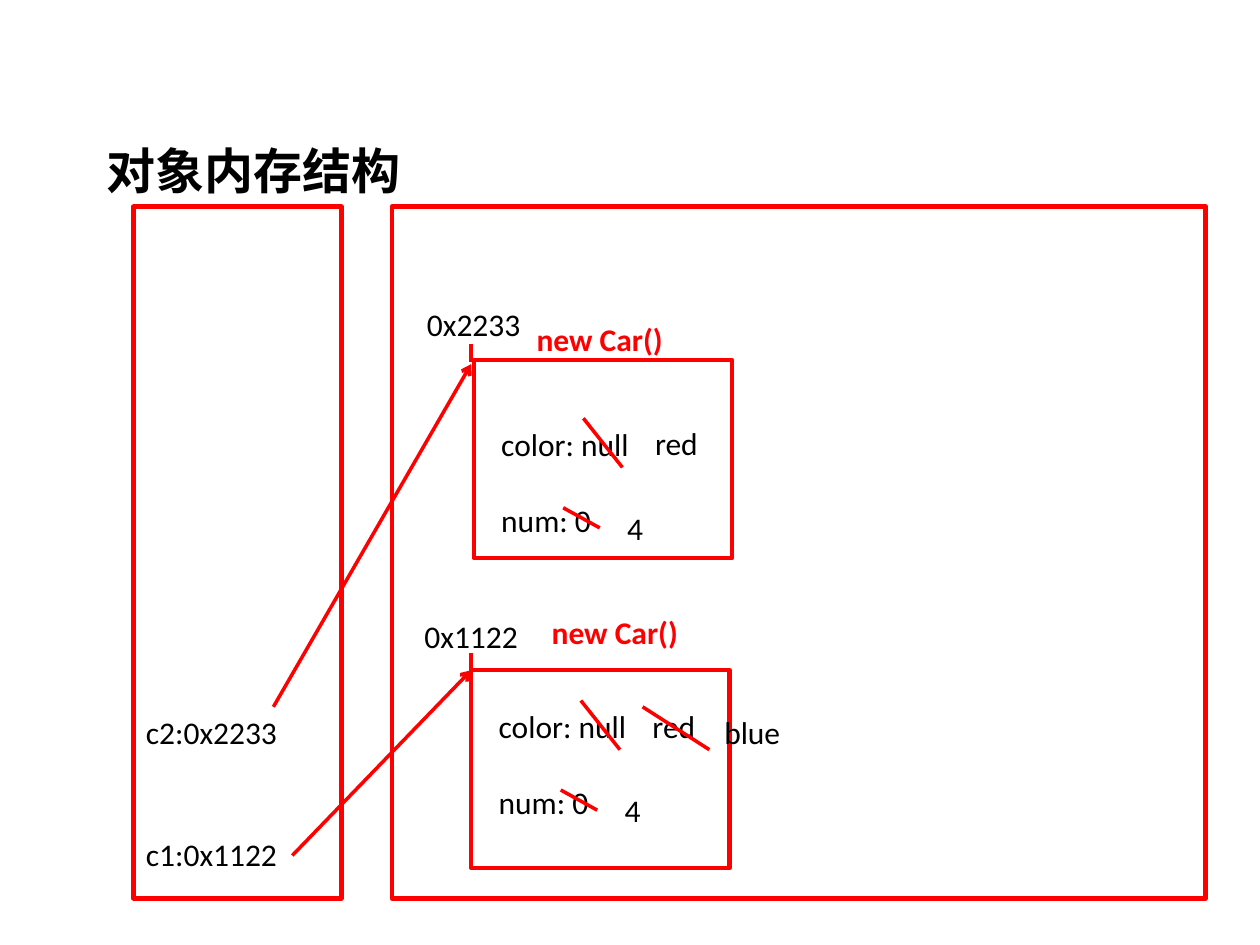
"""Build the slide on how objects are laid out in memory."""
from lxml.etree import SubElement
from pptx import Presentation
from pptx.dml.color import RGBColor
from pptx.enum.shapes import MSO_CONNECTOR as CONN, MSO_SHAPE as SHAPE
from pptx.oxml.ns import qn
from pptx.util import Inches, Pt

RED = RGBColor(0xFF, 0x00, 0x00)
BLACK = RGBColor(0x00, 0x00, 0x00)

TITLE = "对象内存结构"
MEMORY = [(1.06, 1.64, 1.65, 5.49), (3.11, 1.64, 6.46, 5.49)]
VARIABLES = [("c1:0x1122", 6.58), ("c2:0x2233", 5.61)]
OBJECTS = [
    dict(address="0x1122", address_at=(3.27, 4.85), box=(3.74, 5.32),
         label_at=(4.28, 4.82), fields_at=(3.86, 5.56),
         tick=(3.74, 5.18, 3.74, 5.32), pointer=(2.32, 6.79, 3.74, 5.32)),
    dict(address="0x2233", address_at=(3.29, 2.37), box=(3.76, 2.86),
         label_at=(4.16, 2.49), fields_at=(3.88, 3.32),
         tick=(3.74, 2.73, 3.74, 2.87), pointer=(2.17, 5.61, 3.74, 2.89)),
]
FIELDS = ["color: null", "num: 0"]
NEW_VALUES = [("red", 1.22, 0, 0.55), ("4", 1.00, 0.67, 0.43)]
STRIKES = [(0.75, 0, 1.06, 0.39), (0.59, 0.71, 0.88, 0.87)]


def add_text(s, text, x, y, w, h=0.4, size=18, font="Calibri",
             color=BLACK, bold=False, wrap=True, gap=0):
    tf = s.shapes.add_textbox(Inches(x), Inches(y), Inches(w), Inches(h)).text_frame
    tf.word_wrap = wrap
    for i, line in enumerate(text.split("\n")):
        p = tf.paragraphs[0] if i == 0 else tf.add_paragraph()
        if i:
            p.space_before = Pt(gap)
        r = p.add_run()
        r.text = line
        r.font.size, r.font.name, r.font.bold = Pt(size), font, bold
        r.font.color.rgb = color


def add_box(s, x, y, w, h):
    sp = s.shapes.add_shape(SHAPE.RECTANGLE, Inches(x), Inches(y), Inches(w), Inches(h))
    sp.shadow.inherit = False
    sp.fill.background()
    sp.line.color.rgb = RED
    sp.line.width = Pt(2.5)


def add_line(s, x1, y1, x2, y2, arrow=False):
    c = s.shapes.add_connector(CONN.STRAIGHT, Inches(x1), Inches(y1), Inches(x2), Inches(y2))
    c.line.color.rgb = RED
    c.line.width = Pt(2)
    if arrow:
        SubElement(c.line._get_or_add_ln(), qn("a:tailEnd"), type="arrow")
    SubElement(c._element.spPr, qn("a:effectLst"))


def add_object(s, obj):
    add_box(s, *obj["box"], 2.05, 1.57)
    add_text(s, "new Car()", *obj["label_at"], 1.21, color=RED, bold=True, wrap=False)
    add_text(s, obj["address"], *obj["address_at"], 1.18)
    add_line(s, *obj["tick"])
    add_line(s, *obj["pointer"], arrow=True)
    x, y = obj["fields_at"]
    add_text(s, "\n".join(FIELDS), x, y, 1.77, h=1.01, gap=22)
    for value, dx, dy, w in NEW_VALUES:
        add_text(s, value, x + dx, y + dy, w)
    for x1, y1, x2, y2 in STRIKES:
        add_line(s, x + x1, y + y1, x + x2, y + y2)


def main():
    prs = Presentation()
    prs.slide_width, prs.slide_height = Inches(10), Inches(7.5)
    s = prs.slides.add_slide(prs.slide_layouts[6])
    add_text(s, TITLE, 0.75, 1.07, 3.7, h=0.57, size=28, font="Arial", bold=True)
    for area in MEMORY:
        add_box(s, *area)
    for name, y in VARIABLES:
        add_text(s, name, 1.06, y, 1.65)
    for obj in OBJECTS:
        add_object(s, obj)
    add_line(s, 5.1, 5.61, 5.63, 5.95)
    add_text(s, "blue", 5.65, 5.61, 0.77)
    prs.save("out.pptx")


if __name__ == "__main__":
    main()
